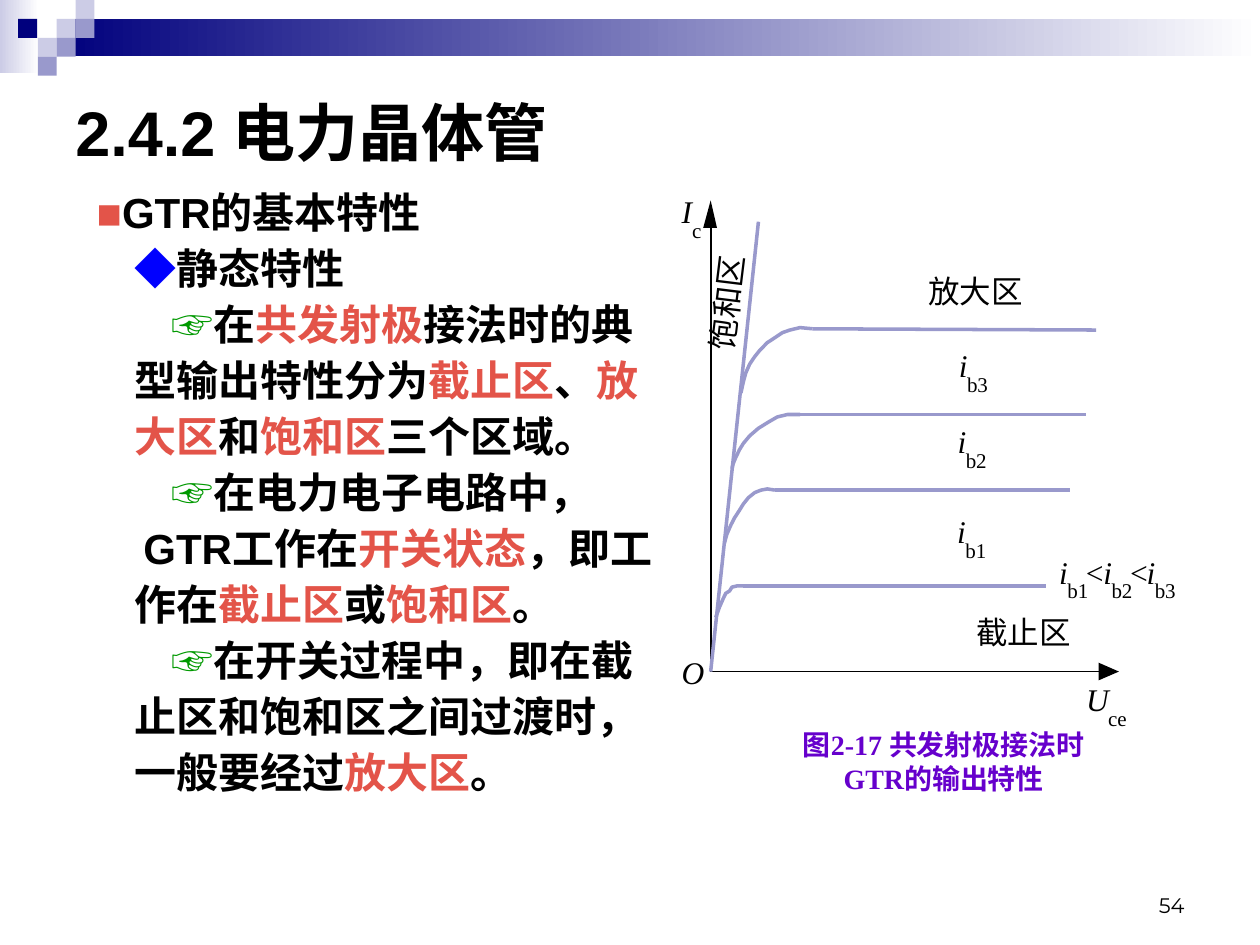
from lxml import etree
from pptx import Presentation
from pptx import util as u
from pptx.dml.color import RGBColor
from pptx.enum import shapes, text
from pptx.oxml import ns

Pt = u.Pt
BLACK, NAVY, PALE, MID, WHITE = "000000", "00007D", "CCCCE6", "9999CC", "FFFFFF"
RED, BLUE, GREEN, PURPLE = "E35449", "0000FF", "009900", "6600CC"
SANS, SERIF, CHINESE, NUMBER = "Arial", "Times New Roman", "Noto Sans CJK SC", "Montserrat"


def color(hex_string):
    return RGBColor.from_string(hex_string)


class SlideBuilder:
    def __init__(self, slide):
        self.slide = slide

    def rectangle(self, x, y, width, height, fill, fade_to=None):
        shape = self.slide.shapes.add_shape(
            shapes.MSO_SHAPE.RECTANGLE, Pt(x), Pt(y), Pt(width), Pt(height))
        shape.shadow.inherit = False
        shape.line.fill.background()
        if fade_to:
            shape.fill.gradient()
            shape.fill.gradient_angle = 0
            for stop, hex_string in zip(shape.fill.gradient_stops, (fill, fade_to)):
                stop.color.rgb = color(hex_string)
        else:
            shape.fill.solid()
            shape.fill.fore_color.rgb = color(fill)

    def line(self, start, end, hex_string, width):
        connector = self.slide.shapes.add_connector(
            shapes.MSO_CONNECTOR.STRAIGHT, *(Pt(value) for value in (*start, *end)))
        connector.line.color.rgb = color(hex_string)
        connector.line.width = Pt(width)
        properties = connector._element.spPr
        etree.SubElement(properties, ns.qn("a:effectLst"))

    def outline(self, points, fill=None, line=None, width=2):
        corners = [(Pt(x), Pt(y)) for x, y in points]
        builder = self.slide.shapes.build_freeform(*corners[0])
        builder.add_line_segments(corners[1:], close=fill is not None)
        shape = builder.convert_to_shape()
        shape.shadow.inherit = False
        if fill:
            shape.fill.solid()
            shape.fill.fore_color.rgb = color(fill)
            shape.line.fill.background()
        else:
            shape.fill.background()
            shape.line.color.rgb = color(line)
            shape.line.width = Pt(width)

    def text_box(self, box, paragraphs, font, size, hex_string=BLACK, bold=False,
                 italic=False, align=None, anchor=text.MSO_ANCHOR.TOP, spacing=None,
                 before=0, margins=(7.2, 3.6), wrap=True, rotation=0):
        """Each paragraph is (left indent, [(words, colour or None), ...])."""
        shape = self.slide.shapes.add_textbox(*(Pt(value) for value in box))
        shape.rotation = rotation
        frame = shape.text_frame
        frame.word_wrap = wrap
        frame.vertical_anchor = anchor
        frame.margin_left = frame.margin_right = Pt(margins[0])
        frame.margin_top = frame.margin_bottom = Pt(margins[1])
        for index, (indent, runs) in enumerate(paragraphs):
            paragraph = frame.add_paragraph() if index else frame.paragraphs[0]
            paragraph.alignment = align
            if spacing:
                paragraph.line_spacing = spacing
            if index and before:
                paragraph.space_before = Pt(before)
            if indent:
                paragraph._p.get_or_add_pPr().set("marL", str(Pt(indent)))
            paragraph.font.name = font
            paragraph.font.size = Pt(size)
            paragraph.font.bold = bold
            paragraph.font.italic = italic
            paragraph.font.color.rgb = color(hex_string)
            for words, run_color in runs:
                run = paragraph.add_run()
                run.text = words
                if run_color:
                    run.font.color.rgb = color(run_color)

    def label(self, x, y, width, words, font=SERIF, size=18, italic=False, rotation=0):
        self.text_box((x, y, width, size * 1.08), [(0, [(words, None)])], font, size,
                      italic=italic, spacing=0.9, margins=(0, 0), wrap=False,
                      rotation=rotation)

    def symbol(self, x, y, width, base, subscript):
        self.label(x, y, width, base, italic=True)
        self.label(x + width, y + 13.7, 6 * len(subscript), subscript, size=12)


def main():
    presentation = Presentation()
    presentation.slide_width, presentation.slide_height = Pt(720), Pt(540)
    builder = SlideBuilder(presentation.slides.add_slide(presentation.slide_layouts[6]))

    # Header band and corner mosaic
    builder.rectangle(0, 0, 22.3, 41.8, PALE, WHITE)
    builder.rectangle(32.4, 10.8, 687.6, 21.4, NAVY, WHITE)
    tile = 10.8
    for x, row, fill in [(32.4, 1, PALE), (43.2, 0, PALE), (43.2, 1, MID), (21.6, 2, PALE),
                         (10.4, 1, NAVY), (32.4, 2, MID), (21.6, 3, MID)]:
        builder.rectangle(x, row * tile, tile, tile, fill)

    # Title
    builder.text_box((36, 46.1, 648, 58.3), [(0, [("2.4.2 电力晶体管", None)])],
                     SANS, 36, bold=True, anchor=text.MSO_ANCHOR.MIDDLE)

    # Body: lines are broken as on the slide
    level, deep = 21.5, 43
    body = [
        (0, [("■", RED), ("GTR的基本特性", None)]),
        (level, [("◆", BLUE), ("静态特性", None)]),
        (deep, [("☞", GREEN), ("在", None), ("共发射极", RED), ("接法时的典", None)]),
        (level, [("型输出特性分为", None), ("截止区", RED), ("、", None), ("放", RED)]),
        (level, [("大区", RED), ("和", None), ("饱和区", RED), ("三个区域。", None)]),
        (deep, [("☞", GREEN), ("在电力电子电路中，", None)]),
        (26.7, [("GTR工作在", None), ("开关状态", RED), ("，即工", None)]),
        (level, [("作在", None), ("截止区", RED), ("或", None), ("饱和区", RED), ("。", None)]),
        (deep, [("☞", GREEN), ("在开关过程中，即在截", None)]),
        (level, [("止区和饱和区之间过渡时，", None)]),
        (level, [("一般要经过", None), ("放大区", RED), ("。", None)]),
    ]
    builder.text_box((48.2, 105.8, 345.6, 385.9), body, SANS, 24, bold=True,
                     spacing=Pt(26), before=6)

    # Axes
    origin = (406.1, 383.8)
    builder.line(origin, (628.6, 383.8), BLACK, 1)
    builder.outline([(627.8, 378.7), (639.4, 383.8), (627.8, 388.8)], fill=BLACK)
    builder.line(origin, (406.1, 128.9), BLACK, 1)
    builder.outline([(401.8, 130.3), (406.1, 114.5), (409.7, 130.3)], fill=BLACK)

    # Saturation line and output curves, each a knee followed by a flat part
    builder.line(origin, (433.4, 126.7), MID, 2)
    curves = [
        ([(409, 352.8), (411.1, 347), (413.3, 342), (414.7, 339.1), (416.9, 337.7),
          (418.3, 335.5), (421.2, 334.8), (424.8, 334.8)], (597.6, 334.8)),
        ([(414, 310.3), (415.4, 305.3), (417.6, 300.2), (419.8, 295.9), (422.6, 291.6),
          (424.8, 288), (427.7, 284.4), (431.3, 281.5), (434.9, 280.1), (438.5, 279.4),
          (442.8, 280.1)], (611.3, 280.1)),
        ([(418.3, 267.8), (419, 265), (420.5, 261.4), (422.6, 257), (424.8, 253.4),
          (428.4, 249.1), (433.4, 244.8), (439.2, 241.2), (444.2, 238.3), (450, 236.9),
          (457.2, 236.9)], (620.6, 236.9)),
        ([(423.4, 224.6), (424.8, 218.2), (426.2, 213.1), (428.4, 208.1), (431.3, 203.8),
          (434.2, 200.2), (438.5, 195.8), (442.8, 193), (447.1, 190.1), (451.4, 188.6),
          (457.2, 187.2), (464.4, 187.9)], (626.4, 188.6)),
    ]
    for knee, end in curves:
        builder.outline(knee, line=MID)
        builder.line(knee[-1], end, MID, 2)

    # Region names
    for x, y, words, rotation in [(558, 352.8, "截止区", 0), (530.6, 157.7, "放大区", 0),
                                  (389.5, 163.4, "饱和区", 277)]:
        builder.label(x, y, 54, words, font=CHINESE, rotation=rotation)

    # Axis and curve symbols
    builder.label(389.5, 375.8, 13, "O", italic=True)
    builder.symbol(389.5, 112.3, 6, "I", "c")
    builder.symbol(620.6, 391, 12.6, "U", "ce")
    for x, y, subscript in [(547.9, 200.2, "b3"), (547.2, 243.4, "b2"), (547, 295.2, "b1"),
                            (605.3, 318.2, "b1"), (630.5, 318.2, "b2"), (655.2, 318.2, "b3")]:
        builder.symbol(x, y, 4.7, "i", subscript)
    for x in (620.6, 645.8):
        builder.label(x, 318.2, 10.1, "<")

    # Caption and page number
    caption = ["图2-17 共发射极接法时", "GTR的输出特性"]
    builder.text_box((445, 411.8, 188.6, 46.1), [(0, [(words, None)]) for words in caption],
                     SERIF, 16, PURPLE, bold=True, align=text.PP_ALIGN.CENTER,
                     spacing=Pt(19.4))
    builder.text_box((516.2, 491.8, 167.8, 36), [(0, [("54", None)])], NUMBER, 12,
                     align=text.PP_ALIGN.RIGHT, anchor=text.MSO_ANCHOR.BOTTOM)

    presentation.save("out.pptx")


if __name__ == "__main__":
    main()
